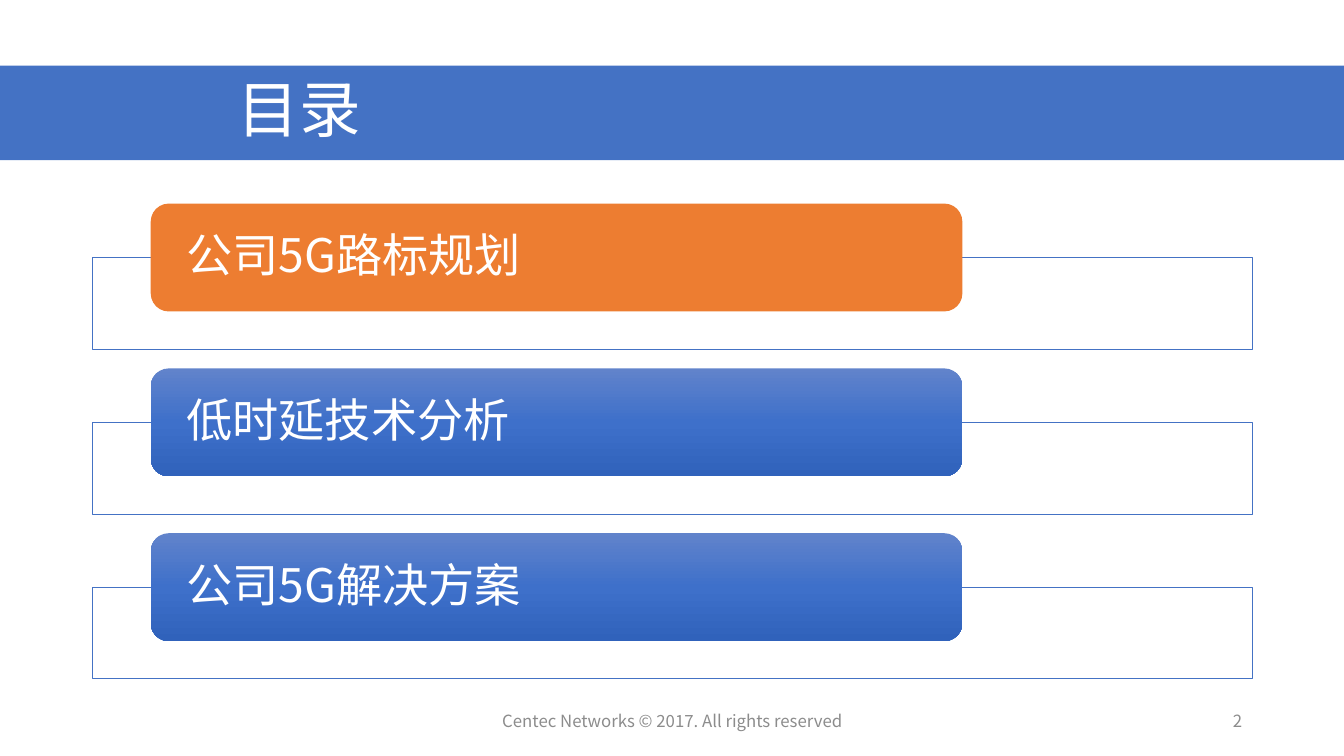
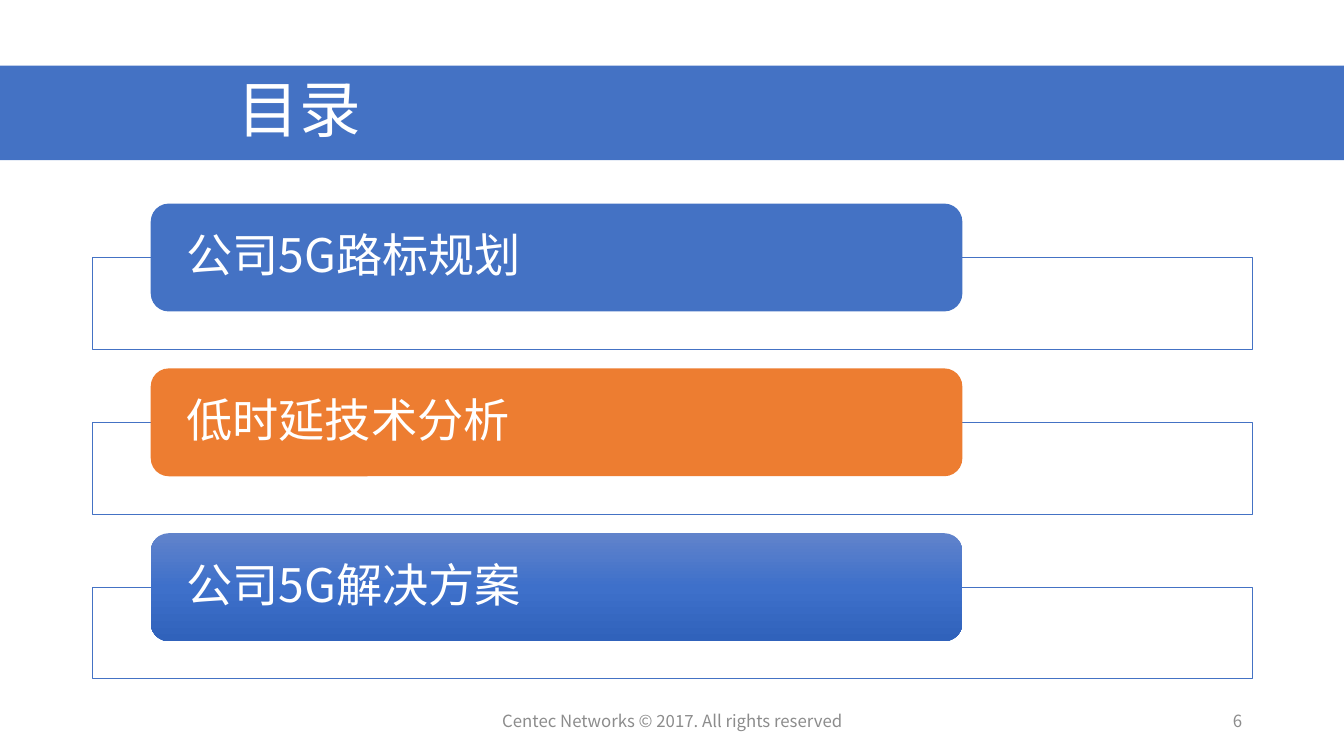
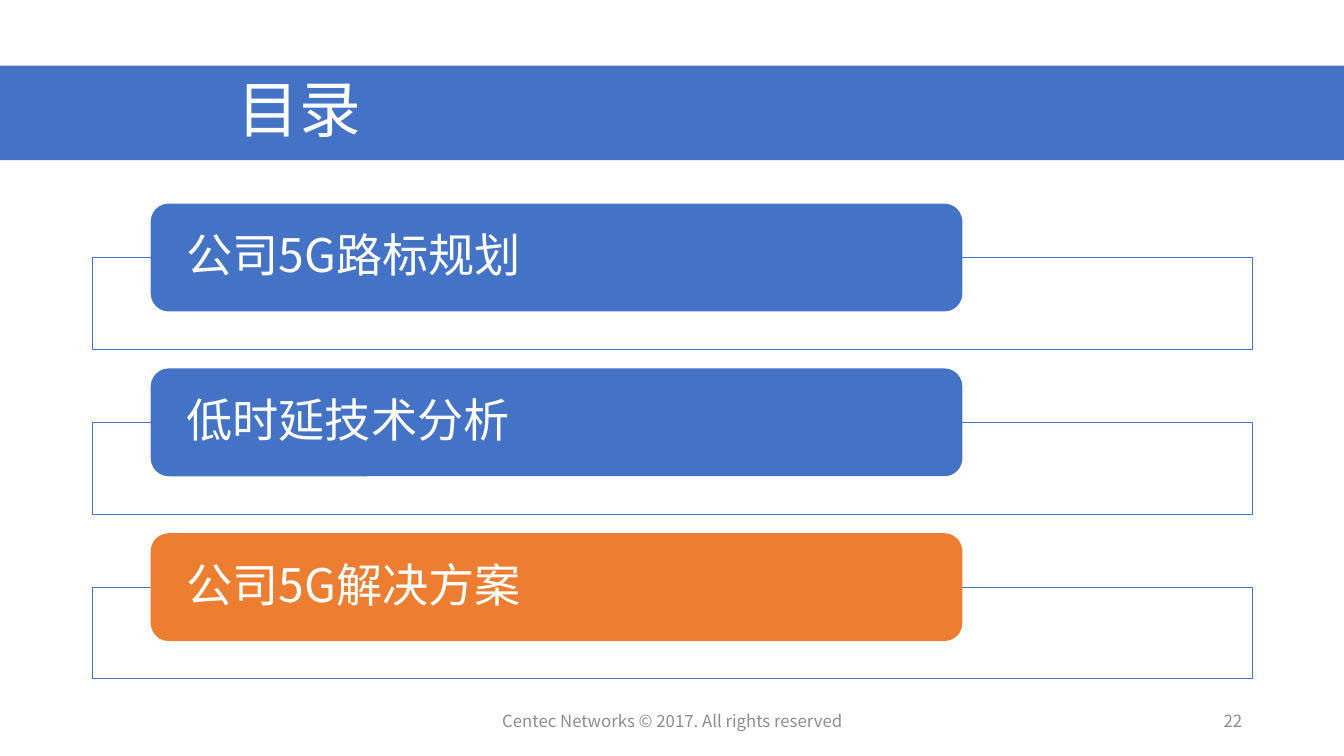
from copy import deepcopy
from dataclasses import dataclass

from lxml.etree import SubElement
from pptx import Presentation
from pptx.dml.color import RGBColor
from pptx.enum.shapes import MSO_SHAPE as Preset
from pptx.enum.text import MSO_ANCHOR as Anchor, MSO_AUTO_SIZE as AutoSize, PP_ALIGN as Align
from pptx.oxml.ns import qn
from pptx.util import Inches, Pt

WIDTH, HEIGHT = 13.33, 7.5
FONT = "Noto Sans CJK SC"
BLUE, ORANGE, WHITE, GREY = "4472C4", "ED7D31", "FFFFFF", "8C8C8C"
UPCOMING = ((0, "6183CB"), (0.5, "3E70CA"), (1, "3062BB"))

HEADING = "目录"
TOPICS = ("公司5G路标规划", "低时延技术分析", "公司5G解决方案")
COPYRIGHT = "Centec Networks © 2017. All rights reserved"

MARGIN, CONTENT_WIDTH = 0.92, 11.5
FIRST_TOP, LAST_TOP = 2.02, 5.29
ROW_PITCH = (LAST_TOP - FIRST_TOP) / (len(TOPICS) - 1)
LABEL_HEIGHT, FRAME_HEIGHT = 1.07, 0.91
LABEL_INDENT = CONTENT_WIDTH * 0.05
LABEL_WIDTH = CONTENT_WIDTH * 0.7
FOOTER_TOP, FOOTER_HEIGHT = 6.95, 0.4


@dataclass(frozen=True)
class Box:
    left: float
    top: float
    width: float
    height: float

    def emu(self) -> tuple:
        return tuple(map(Inches, (self.left, self.top, self.width, self.height)))


@dataclass(frozen=True)
class TextStyle:
    size: int
    color: str
    align: Align = Align.LEFT
    line_spacing: float = 1.0
    insets: tuple = (0.1, 0.05, 0.1, 0.05)


@dataclass(frozen=True)
class Agenda:
    page: int
    current: int


TITLE_STYLE = TextStyle(44, WHITE, line_spacing=0.9, insets=(2.36, 0.05, 0.1, 0.05))
LABEL_STYLE = TextStyle(33, WHITE, line_spacing=0.9, insets=(0.3, 0, 0.3, 0))
COPYRIGHT_STYLE = TextStyle(12, GREY, Align.CENTER)
PAGE_STYLE = TextStyle(12, GREY, Align.RIGHT)

TITLE_BOX = Box(0, 0.65, WIDTH, 0.94)
COPYRIGHT_BOX = Box(4.42, FOOTER_TOP, 4.5, FOOTER_HEIGHT)
PAGE_BOX = Box(9.42, FOOTER_TOP, 3, FOOTER_HEIGHT)

AGENDAS = (Agenda(2, 0), Agenda(6, 1), Agenda(22, 2))


def rgb(color: str) -> RGBColor:
    return RGBColor.from_string(color)


def fill_solid(shape, color: str) -> None:
    shape.fill.solid()
    shape.fill.fore_color.rgb = rgb(color)


def fill_gradient(shape, stops: tuple) -> None:
    """Fill from top to bottom with any number of (position, colour) stops."""
    shape.fill.gradient()
    shape.fill.gradient_angle = 270
    stop_list = next(shape._element.iter(qn("a:gsLst")))
    while len(stop_list) < len(stops):
        stop_list.append(deepcopy(stop_list[0]))
    for stop, (position, color) in zip(shape.fill.gradient_stops, stops):
        stop.position = position
        stop.color.rgb = rgb(color)


def write(shape, text: str, style: TextStyle) -> None:
    frame = shape.text_frame
    left, top, right, bottom = map(Inches, style.insets)
    frame_format = {
        "word_wrap": True, "auto_size": AutoSize.NONE, "vertical_anchor": Anchor.MIDDLE,
        "margin_left": left, "margin_top": top, "margin_right": right, "margin_bottom": bottom,
    }
    for attribute, value in frame_format.items():
        setattr(frame, attribute, value)
    paragraph = frame.paragraphs[0]
    paragraph.alignment = style.align
    paragraph.line_spacing = style.line_spacing
    run = paragraph.add_run()
    run.text = text
    run.font.size = Pt(style.size)
    run.font.color.rgb = rgb(style.color)
    run.font.name = FONT
    SubElement(run._r.get_or_add_rPr(), qn("a:ea"), typeface=FONT)


def add_title(slide) -> None:
    title = slide.shapes.title
    title.left, title.top, title.width, title.height = TITLE_BOX.emu()
    fill_solid(title, BLUE)
    write(title, HEADING, TITLE_STYLE)


def add_frame(shapes, box: Box) -> None:
    """Add the outlined, nearly opaque panel behind a topic label."""
    frame = shapes.add_shape(Preset.RECTANGLE, *box.emu())
    frame.shadow.inherit = False
    fill_solid(frame, WHITE)
    SubElement(next(frame._element.spPr.iter(qn("a:srgbClr"))), qn("a:alpha"), val="90000")
    frame.line.color.rgb = rgb(BLUE)
    frame.line.width = Pt(0.5)


def add_topics(slide, current: int) -> None:
    """Stack the topics: passed ones blue, the current one orange, later ones shaded."""
    shapes = slide.shapes.add_group_shape().shapes
    for row, topic in enumerate(TOPICS):
        top = FIRST_TOP + row * ROW_PITCH
        add_frame(shapes, Box(MARGIN, top + LABEL_HEIGHT / 2, CONTENT_WIDTH, FRAME_HEIGHT))
        label_box = Box(MARGIN + LABEL_INDENT, top, LABEL_WIDTH, LABEL_HEIGHT)
        label = shapes.add_shape(Preset.ROUNDED_RECTANGLE, *label_box.emu())
        label.shadow.inherit = False
        label.line.fill.background()
        if row > current:
            fill_gradient(label, UPCOMING)
        else:
            fill_solid(label, ORANGE if row == current else BLUE)
        write(label, topic, LABEL_STYLE)


def add_footer(slide, page: int) -> None:
    for box, text, style in (
        (COPYRIGHT_BOX, COPYRIGHT, COPYRIGHT_STYLE),
        (PAGE_BOX, str(page), PAGE_STYLE),
    ):
        write(slide.shapes.add_textbox(*box.emu()), text, style)


def main() -> None:
    deck = Presentation()
    deck.slide_width, deck.slide_height = Inches(WIDTH), Inches(HEIGHT)
    title_only = deck.slide_layouts[5]
    for agenda in AGENDAS:
        slide = deck.slides.add_slide(title_only)
        add_title(slide)
        add_topics(slide, agenda.current)
        add_footer(slide, agenda.page)
    deck.save("out.pptx")


if __name__ == "__main__":
    main()
